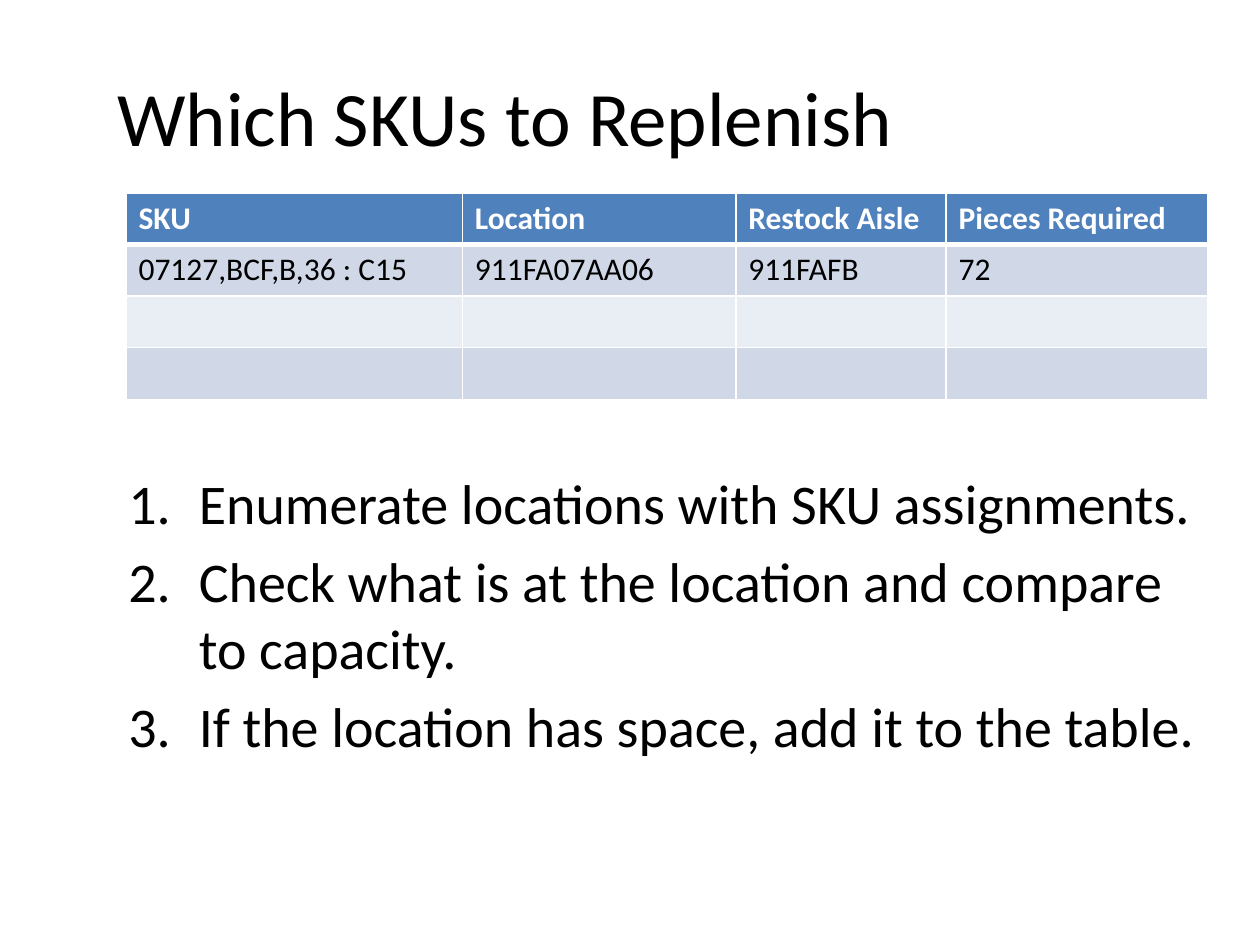
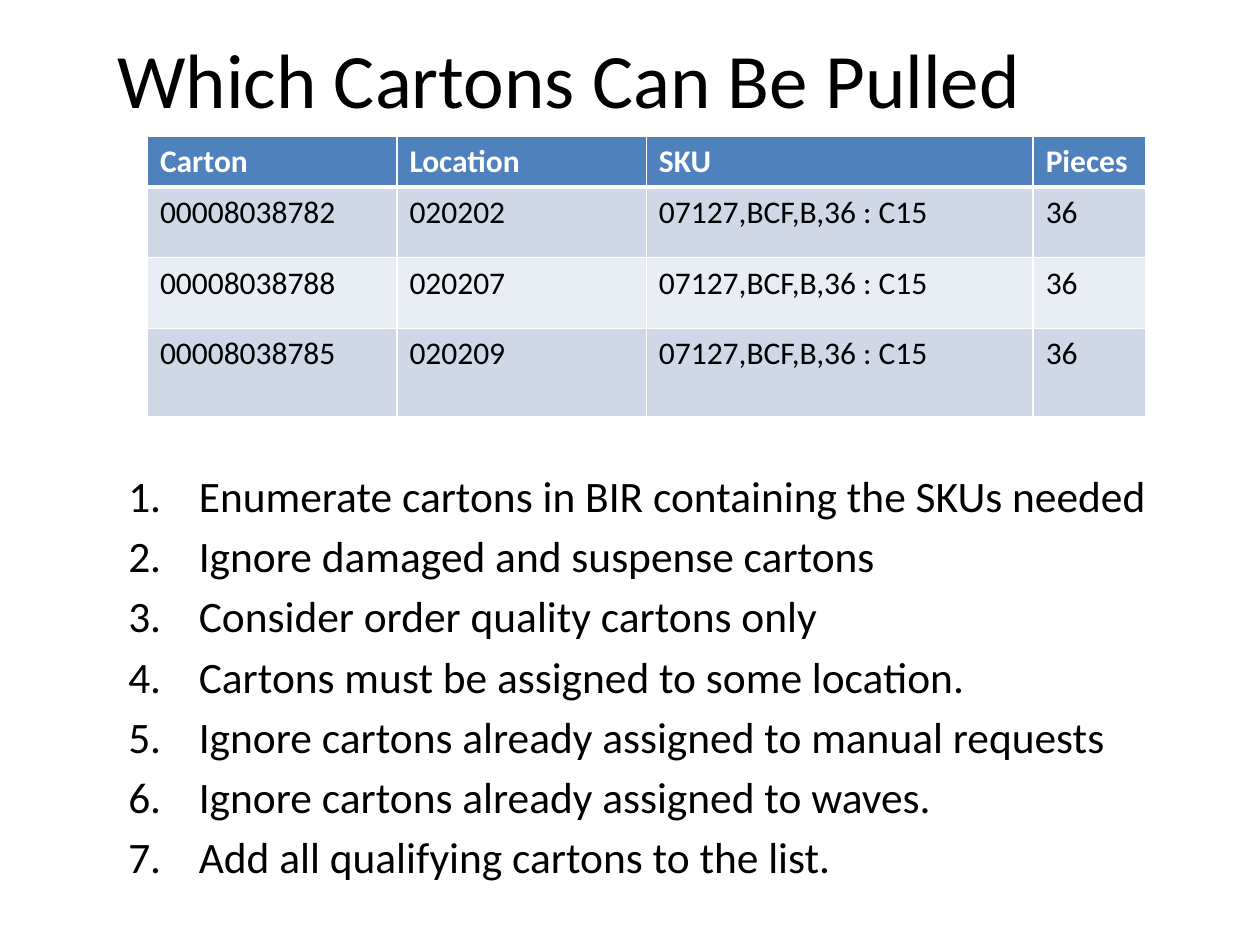
"""Builds two slides on replenishment: which SKUs to restock and which cartons to pull."""
from lxml import etree
from pptx import Presentation
from pptx.dml.color import RGBColor
from pptx.enum import text
from pptx.oxml import ns
from pptx.util import Inches, Pt

COLORS = {"text": "000000", "header": "4F81BD", "band": "D0D8E8",
          "light": "E9EDF4", "white": "FFFFFF"}
FONT = "Calibri"


def rgb(name):
    return RGBColor.from_string(COLORS[name])


def write(p, content, size=18, color="text", bold=False):
    r = p.add_run()
    r.text = content
    r.font.name = FONT
    r.font.size = Pt(size)
    r.font.bold = bold
    r.font.color.rgb = rgb(color)


def add_title(s, content, top, height):
    sp = s.shapes.title
    sp.left, sp.top = Inches(0.83), Inches(top)
    sp.width, sp.height = Inches(8.83), Inches(height)
    tf = sp.text_frame
    tf.vertical_anchor = text.MSO_ANCHOR.MIDDLE
    tf.paragraphs[0].alignment = text.PP_ALIGN.LEFT
    write(tf.paragraphs[0], content, size=44)


def set_border(cell, side, width):
    tc_pr = cell._tc.get_or_add_tcPr()
    ln = etree.SubElement(tc_pr, ns.qn(f"a:ln{side}"), w=str(Pt(width)))
    fill = etree.SubElement(ln, ns.qn("a:solidFill"))
    etree.SubElement(fill, ns.qn("a:srgbClr"), val=COLORS["white"])


def format_cell(cell, row):
    for side in "LRTB":
        thick = (row == 0 and side == "B") or (row == 1 and side == "T")
        set_border(cell, side, 3 if thick else 1)
    cell.fill.solid()
    cell.fill.fore_color.rgb = rgb("header" if row == 0 else "band" if row % 2 else "light")


def add_grid(s, left, top, widths, heights, rows):
    frame = s.shapes.add_table(len(heights), len(widths), Inches(left), Inches(top),
                               Inches(sum(widths)), Inches(sum(heights)))
    table = frame.table
    for col, width in zip(table.columns, widths):
        col.width = Inches(width)
    for i, height in enumerate(heights):
        table.rows[i].height = Inches(height)
        for j in range(len(widths)):
            cell = table.cell(i, j)
            format_cell(cell, i)
            if i < len(rows):
                write(cell.text_frame.paragraphs[0], rows[i][j], bold=i == 0,
                      color="text" if i else "white")


def add_steps(s, steps, size, height):
    sp = s.shapes.add_textbox(Inches(0.92), Inches(3.67), Inches(8.83), Inches(height))
    tf = sp.text_frame
    tf.word_wrap = True
    for i, step in enumerate(steps):
        p = tf.add_paragraph() if i else tf.paragraphs[0]
        p.space_before = Pt(size * 0.19)
        p_pr = p._p.get_or_add_pPr()
        p_pr.set("marL", str(Inches(0.56)))
        p_pr.set("indent", str(-Inches(0.56)))
        etree.SubElement(p_pr, ns.qn("a:buFont"), typeface="+mj-lt")
        etree.SubElement(p_pr, ns.qn("a:buAutoNum"), type="arabicPeriod")
        write(p, step, size=size)


def add_title_slide(prs, title, top, height):
    s = prs.slides.add_slide(prs.slide_layouts[5])
    add_title(s, title, top, height)
    return s


def main():
    prs = Presentation()
    prs.slide_width, prs.slide_height = Inches(10), Inches(7.5)
    sku = "07127,BCF,B,36 : C15"

    s = add_title_slide(prs, "Which SKUs to Replenish", 0.29, 1.25)
    add_grid(s, 1, 1.53, [2.67, 2.17, 1.67, 2.08], [0.41] * 4, [
        ["SKU", "Location", "Restock Aisle", "Pieces Required"],
        [sku, "911FA07AA06", "911FAFB", "72"],
    ])
    add_steps(s, [
        "Enumerate locations with SKU assignments.",
        "Check what is at the location and compare to capacity.",
        "If the location has space, add it to the table.",
    ], size=32, height=2.83)

    s = add_title_slide(prs, "Which Cartons Can Be Pulled", 0.08, 1.08)
    cartons = [("00008038782", "020202"), ("00008038788", "020207"), ("00008038785", "020209")]
    add_grid(s, 1.17, 1.08, [1.98, 1.98, 3.07, 0.89], [0.4, 0.56, 0.56, 0.7],
             [["Carton", "Location", "SKU", "Pieces"]]
             + [[carton, location, sku, "36"] for carton, location in cartons])
    add_steps(s, [
        "Enumerate cartons in BIR containing the SKUs needed",
        "Ignore damaged and suspense cartons",
        "Consider order quality cartons only",
        "Cartons must be assigned to some location.",
        "Ignore cartons already assigned to manual requests",
        "Ignore cartons already assigned to waves.",
        "Add all qualifying cartons to the list.",
    ], size=24.8, height=3.25)

    prs.save("out.pptx")


if __name__ == "__main__":
    main()
